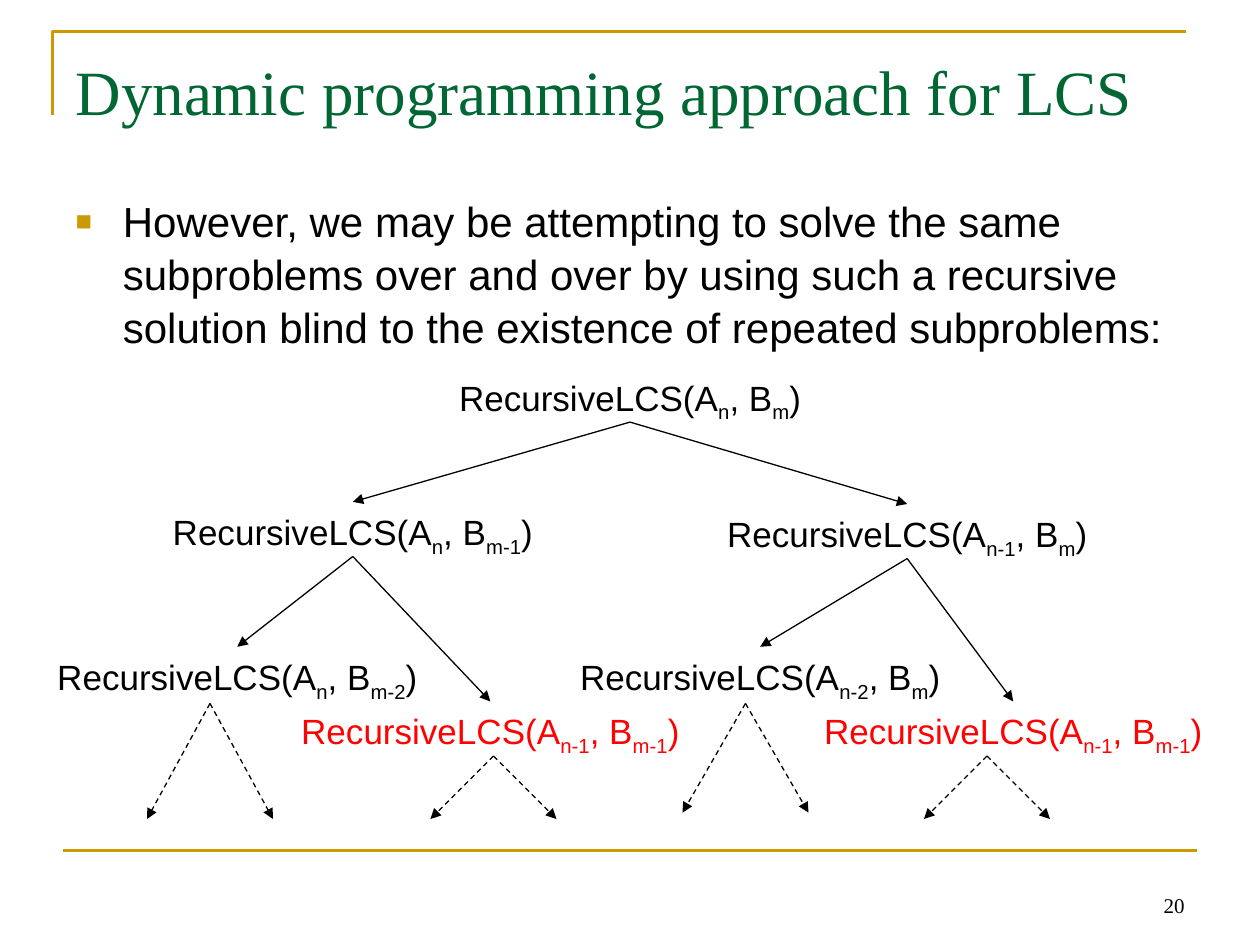
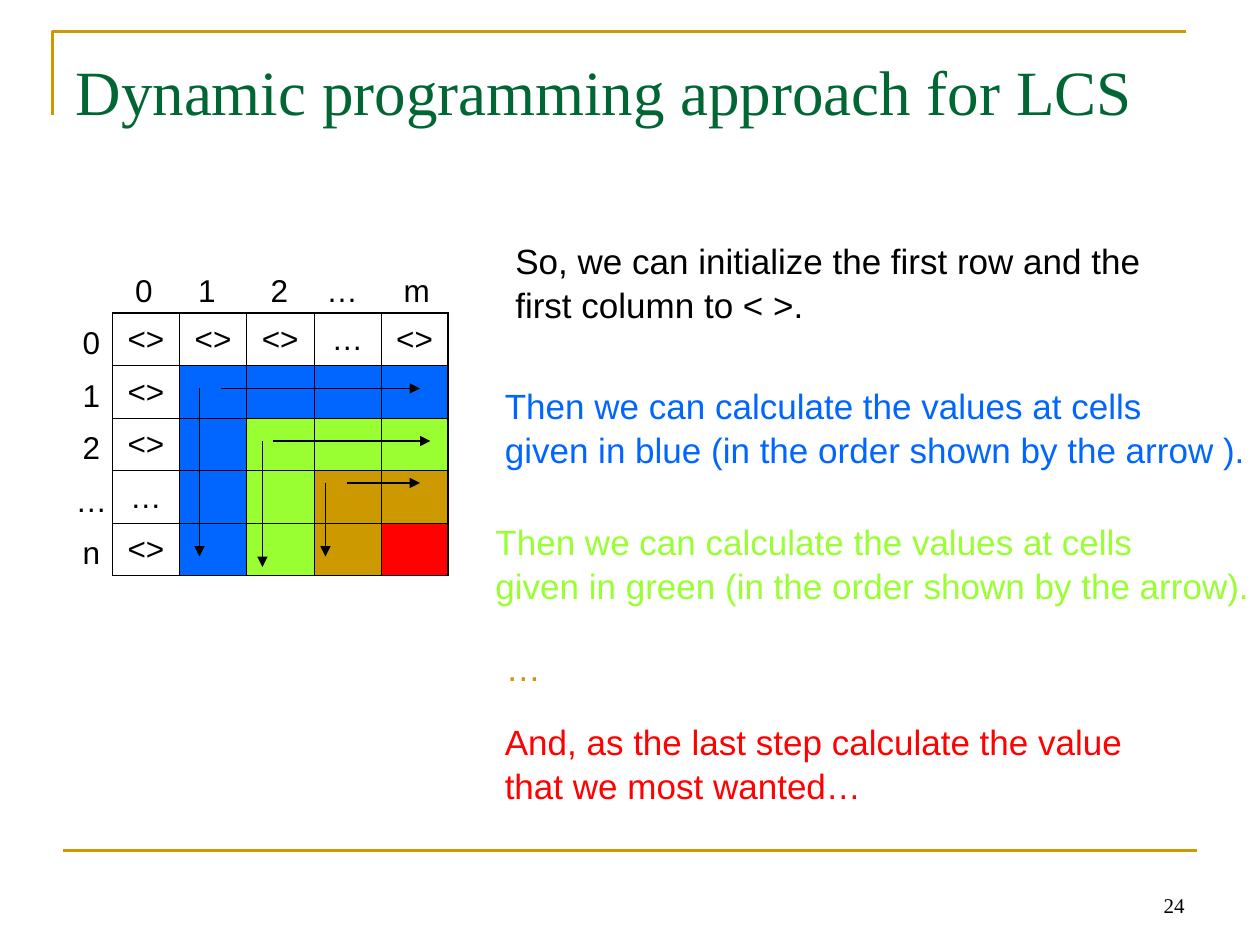
"""Build two slides on the dynamic programming approach for the longest common subsequence."""
from dataclasses import dataclass

from lxml.etree import SubElement
from pptx import Presentation
from pptx.dml.color import RGBColor as RGB
from pptx.enum.dml import MSO_LINE_DASH_STYLE as DASH
from pptx.enum.text import MSO_ANCHOR as ANCHOR, MSO_AUTO_SIZE as AUTO, PP_ALIGN as ALIGN
from pptx.oxml.ns import qn
from pptx.util import Inches, Pt


@dataclass(frozen=True)
class Theme:
    black: str = "000000"
    title: str = "006633"
    gold: str = "CC9900"
    blue: str = "0066FF"
    green: str = "99FF33"
    red: str = "FF0101"
    serif: str = "Times New Roman"
    sans: str = "Arial"
    title_size: int = 36
    body_size: int = 24
    label_size: int = 20
    cell_size: int = 18
    number_size: int = 12
    leading: float = 1.05


THEME = Theme()
UNIT = Inches(1) // 12
COLUMNS, ROWS = 120, 90


def write(slide, text, place=None, holder=None, size=THEME.label_size, color=THEME.black,
          font=THEME.sans, align=ALIGN.LEFT, anchor=ANCHOR.TOP, wrap=False, inset=0.6):
    """Write text, with subscripts in braces, at a grid place or into a given holder."""
    holder = holder or slide.shapes.add_textbox(0, 0, 0, 0)
    frame = holder.text_frame
    if place:
        holder.left, holder.top, holder.width, holder.height = (round(v * UNIT) for v in place)
        frame.auto_size = AUTO.NONE
        frame.word_wrap = wrap
        frame.vertical_anchor = anchor
        frame.margin_top = round(inset * UNIT)
    for index, line in enumerate(text.split("\n")):
        paragraph = frame.add_paragraph() if index else frame.paragraphs[0]
        paragraph.alignment = align
        paragraph.line_spacing = THEME.leading
        paragraph.space_before = Pt(0)
        for part, piece in enumerate(line.replace("}", "{").split("{")):
            run = paragraph.add_run()
            run.text = piece
            run.font.size = Pt(size)
            run.font.name = font
            run.font.color.rgb = RGB.from_string(color)
            if part % 2:
                run.font._element.set("baseline", "-25000")
    return frame


def draw_line(slide, start, end, color=THEME.black, width=0.75, dashed=False, arrow=True):
    """Draw a straight line between two grid points."""
    line = slide.shapes.add_connector(1, *(round(v * UNIT) for v in (*start, *end)))
    line.line.width = Pt(width)
    line.line.color.rgb = RGB.from_string(color)
    if dashed:
        line.line.dash_style = DASH.DASH
    properties = line.element.spPr
    if arrow:
        SubElement(properties.find(qn("a:ln")), qn("a:tailEnd"), type="triangle")
    SubElement(properties, qn("a:effectLst"))
    return line


deck = Presentation()
deck.slide_width, deck.slide_height = COLUMNS * UNIT, ROWS * UNIT
recursion = deck.slides.add_slide(deck.slide_layouts[1])
filling = deck.slides.add_slide(deck.slide_layouts[5])

corner_path = recursion.shapes.build_freeform(5, 11, scale=UNIT)
corner_path.add_line_segments([(113, 3), (113, 3)][:0] + [(5, 3), (113, 3)], close=False)
corner = corner_path.convert_to_shape()
corner.shadow.inherit = False
corner.fill.background()
corner.line.color.rgb = RGB.from_string(THEME.gold)
corner.line.width = Pt(1.5)
base = draw_line(recursion, (6, 81), (114, 81), color=THEME.gold, width=1.5, arrow=False)
for rule in (corner, base):
    deck.slide_master.shapes.element.append(rule.element)

for slide, number in ((recursion, "20"), (filling, "24")):
    write(slide, number, (86, 82, 28, 6), size=THEME.number_size, font=THEME.serif,
          align=ALIGN.RIGHT, anchor=ANCHOR.BOTTOM, wrap=True)
    write(slide, "Dynamic programming approach for LCS", (6, 3.6, 108, 15),
          holder=slide.shapes.title, size=THEME.title_size, color=THEME.title,
          font=THEME.serif, wrap=True, inset=1)

problem = write(
    recursion,
    "However, we may be attempting to solve the same subproblems over and over by using such a "
    "recursive solution blind to the existence of repeated subproblems:",
    (6, 17.5, 108, 59.4), holder=recursion.placeholders[1], size=THEME.body_size,
    wrap=True, inset=0.9)
bullet = problem.paragraphs[0]._p.get_or_add_pPr()
bullet.set("marL", str(round(4.5 * UNIT)))
bullet.set("indent", str(round(-4.5 * UNIT)))
SubElement(SubElement(bullet, qn("a:buClr")), qn("a:srgbClr"), val=THEME.gold)
SubElement(bullet, qn("a:buSzPct"), val="65000")
SubElement(bullet, qn("a:buFont"), typeface=THEME.sans)
SubElement(bullet, qn("a:buChar"), char="■")

calls = {
    "root": ("n", "m", 60, 35, THEME.black),
    "left": ("n", "m-1", 33.6, 47.8, THEME.black),
    "right": ("n-1", "m", 86.4, 48, THEME.black),
    "left end": ("n", "m-2", 22.6, 61.6, THEME.black),
    "left repeat": ("n-1", "m-1", 46.7, 66.8, THEME.red),
    "right end": ("n-2", "m", 72.4, 61.6, THEME.black),
    "right repeat": ("n-1", "m-1", 96.5, 66.8, THEME.red),
}
for a_index, b_index, center, top, color in calls.values():
    width = 31.4 + 0.88 * len(a_index + b_index)
    write(recursion, f"RecursiveLCS(A{{{a_index}}}, B{{{b_index}}})",
          (center - width / 2, top, width, 5.8), color=color, align=ALIGN.CENTER)

branches = {"root": ("left", "right"), "left": ("left end", "left repeat"),
            "right": ("right end", "right repeat")}
for caller, callees in branches.items():
    caller_x, caller_top = calls[caller][2:4]
    for callee in callees:
        draw_line(recursion, (caller_x, caller_top + 5.2), calls[callee][2:4])

for x, top, bottom in ((20, 67, 78), (47, 72, 78), (94, 72, 78), (71, 67, 77.4)):
    for side in (-6, 6):
        draw_line(recursion, (x, top), (x + side, bottom), dashed=True)

layers = (None, THEME.blue, THEME.green, THEME.gold, THEME.red)
count = len(layers)
cell_width, cell_height = 6.4, 5
grid_left, grid_top = 10.7, 29.8
grid = filling.shapes.add_table(count, count, *(round(v * UNIT) for v in (
    grid_left, grid_top, count * cell_width, count * cell_height))).table
grid.first_row = grid.horz_banding = False
for row in range(count):
    for column in range(count):
        cell = grid.cell(row, column)
        outer = {"L": column == 0, "R": column == count - 1,
                 "T": row == 0, "B": row == count - 1}
        for side, is_outer in outer.items():
            border = SubElement(cell._tc.get_or_add_tcPr(), qn(f"a:ln{side}"),
                                w=str(Pt(1.08 if is_outer else 0.45)))
            SubElement(SubElement(border, qn("a:solidFill")), qn("a:srgbClr"), val=THEME.black)
        cell.vertical_anchor = ANCHOR.MIDDLE
        layer = layers[min(row, column)]
        if layer:
            cell.fill.solid()
            cell.fill.fore_color.rgb = RGB.from_string(layer)
        else:
            cell.fill.background()
            write(filling, "…" if 3 in (row, column) else "<>", holder=cell,
                  size=THEME.cell_size, align=ALIGN.CENTER)

label_width, label_height = 5, 4.8
row_labels = [(name, 8.7, 30 + index * cell_height) for index, name in enumerate("012…n")]
column_labels = [(name, x, 25) for name, x in zip("012…m", (13.7, 19.7, 26.6, 32.6, 39.7))]
for name, center, top in row_labels + column_labels:
    write(filling, name, (center - label_width / 2, top, label_width, label_height),
          size=THEME.cell_size, align=ALIGN.CENTER)

steps = (
    ("So, we can initialize the first row and the\nfirst column to < >.",
     (47.9, 22, 61.9, 9.2), THEME.black),
    ("Then we can calculate the values at cells\n"
     "given in blue (in the order shown by the arrow ).", (46.9, 35.8, 73, 9.2), THEME.blue),
    ("Then we can calculate the values at cells\n"
     "given in green (in the order shown by the arrow).", (46, 48.8, 74.3, 9.2), THEME.green),
    ("…", (47, 60.8, 5.8, 5.3), THEME.gold),
    ("And, as the last step calculate the value\nthat we most wanted…",
     (46.9, 67.8, 61.2, 9.2), THEME.red),
)
for step, place, color in steps:
    write(filling, step, place, color=color)

for y, across_start, across_end, down_x, down_end in (
        (37, 21, 40, 19, 53), (42, 26, 41, 25, 54), (46, 33, 40, 31, 53)):
    draw_line(filling, (across_start, y), (across_end, y))
    draw_line(filling, (down_x, y), (down_x, down_end))

deck.save("out.pptx")
